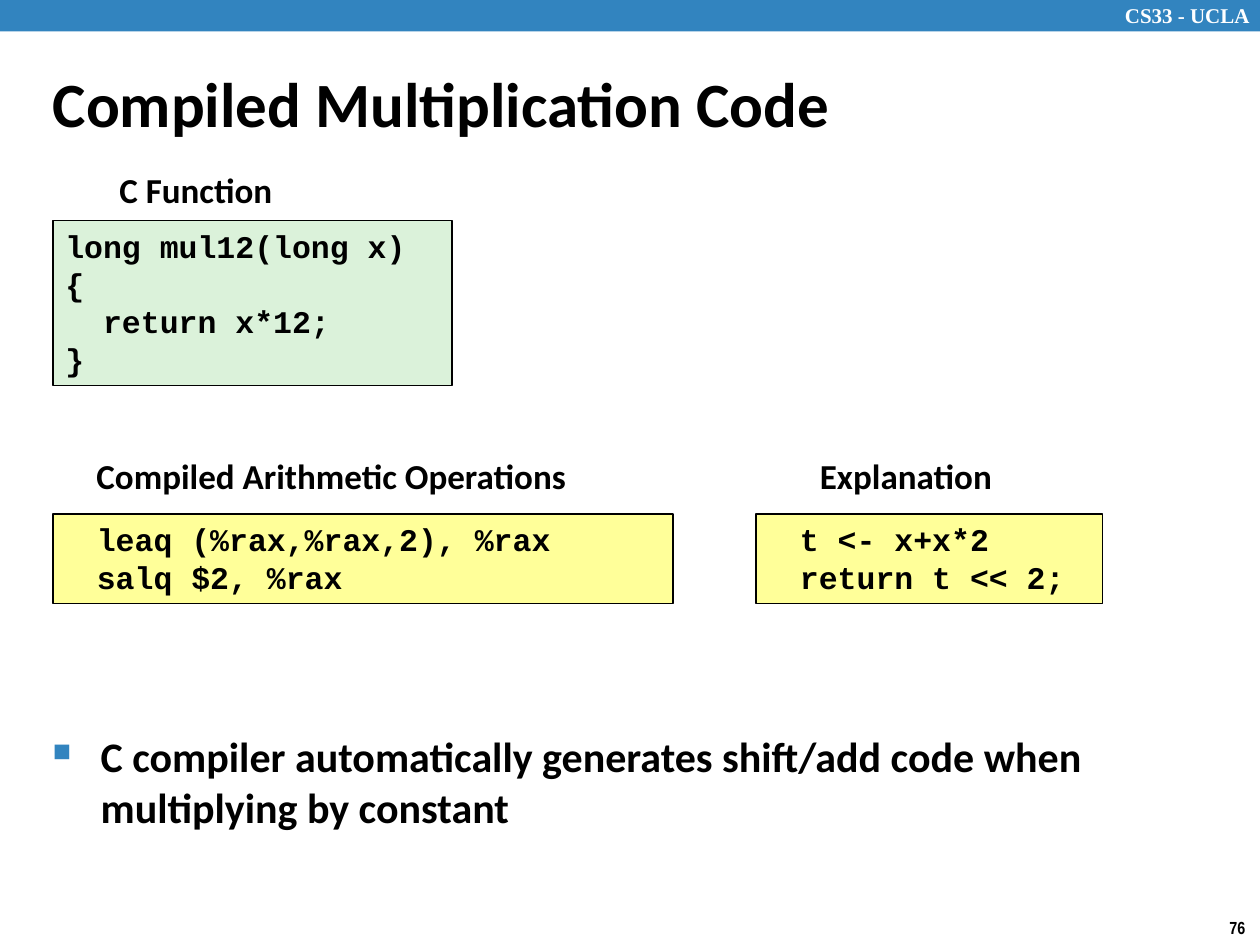
import pptx
import pptx.dml.color
import pptx.enum.shapes
import pptx.enum.text
import pptx.oxml
import pptx.oxml.ns
import pptx.util

Inches = pptx.util.Inches
Pt = pptx.util.Pt
Anchor = pptx.enum.text.MSO_ANCHOR
Align = pptx.enum.text.PP_ALIGN

BLUE, GREEN, YELLOW = "3284BF", "DBF2DA", "FFFF99"
BLACK, WHITE = "000000", "FFFFFF"

TITLE = "Compiled Multiplication Code"
TAKEAWAY = "C compiler automatically generates shift/add code when multiplying by constant"
# Heading, box (left, top, width, height)
HEADINGS = [
    ("C Function", (0.89, 1.29, 1.33, 0.44)),
    ("Compiled Arithmetic Operations", (0.7, 3.56, 3.86, 0.44)),
    ("Explanation", (6.45, 3.56, 1.48, 0.44)),
]
# Code lines, box, fill, tab stops
CODE_BLOCKS = [
    (["long mul12(long x)", "{", "  return x*12;", "}"],
     (0.42, 1.75, 3.17, 1.31), GREEN, ()),
    (["\tleaq\t(%rax,%rax,2), %rax", "\tsalq\t$2, %rax"],
     (0.42, 4.08, 4.92, 0.71), YELLOW, (0.25, 1)),
    (["\tt <- x+x*2", "\treturn t << 2;"],
     (6, 4.08, 2.75, 0.71), YELLOW, (0.25,)),
]


def color(value):
    return pptx.dml.color.RGBColor.from_string(value)


def add_xml(paragraph, xml):
    namespace = pptx.oxml.ns.nsdecls("a")
    properties = paragraph._p.get_or_add_pPr()
    properties.append(pptx.oxml.parse_xml(xml.replace("NS", namespace)))


def add_tabs(paragraph, stops):
    tabs = "".join(f'<a:tab pos="{Inches(stop)}" algn="l"/>' for stop in stops)
    add_xml(paragraph, f"<a:tabLst NS>{tabs}</a:tabLst>")


def add_bullet(paragraph, indent):
    properties = paragraph._p.get_or_add_pPr()
    properties.set("marL", str(Inches(indent)))
    properties.set("indent", str(-Inches(indent)))
    add_xml(paragraph, f'<a:buClr NS><a:srgbClr val="{BLUE}"/></a:buClr>')
    add_xml(paragraph, '<a:buSzPct NS val="60000"/>')
    add_xml(paragraph, '<a:buChar NS char="■"/>')


def write(shape, lines, size=18, font="Calibri", ink=BLACK, align=Align.LEFT,
          anchor=Anchor.TOP, wrap=True, inset=None, tabs=(), bullet_indent=None):
    frame = shape.text_frame
    frame.word_wrap = wrap
    frame.vertical_anchor = anchor
    if inset is not None:
        frame.margin_left = frame.margin_right = Inches(inset)
        frame.margin_top = frame.margin_bottom = Inches(inset)
    for index, line in enumerate(lines):
        paragraph = frame.add_paragraph() if index else frame.paragraphs[0]
        paragraph.alignment = align
        if bullet_indent:
            add_bullet(paragraph, bullet_indent)
        if tabs:
            add_tabs(paragraph, tabs)
        run = paragraph.add_run()
        run.text = line
        run.font.name = font
        run.font.size = Pt(size)
        run.font.bold = True
        run.font.color.rgb = color(ink)


def add_text(slide, text, box, **text_format):
    shape = slide.shapes.add_textbox(*map(Inches, box))
    write(shape, [text], **text_format)


def add_rectangle(slide, box, fill, outline=None):
    shape = slide.shapes.add_shape(
        pptx.enum.shapes.MSO_SHAPE.RECTANGLE, *map(Inches, box))
    shape.shadow.inherit = False
    shape.fill.solid()
    shape.fill.fore_color.rgb = color(fill)
    if outline:
        shape.line.color.rgb = color(outline)
        shape.line.width = Pt(1)
    else:
        shape.line.fill.background()
    return shape


def main():
    presentation = pptx.Presentation()
    presentation.slide_width = Inches(10)
    presentation.slide_height = Inches(7.5)
    slide = presentation.slides.add_slide(presentation.slide_layouts[6])

    add_rectangle(slide, (0, 0, 10, 0.25), BLUE)
    add_text(slide, "CS33 - UCLA", (8.83, -0.03, 1.24, 0.3),
             size=12, font="Times New Roman", ink=WHITE)
    add_text(slide, "76", (9.66, 7.23, 0.34, 0.27),
             size=10, font="Arial Narrow", wrap=False)
    add_text(slide, TITLE, (0.32, 0.5, 7.84, 0.63), size=36, anchor=Anchor.MIDDLE)
    add_text(slide, TAKEAWAY, (0.32, 5.75, 9.09, 1.3), size=24, bullet_indent=0.38)

    for lines, box, fill, tabs in CODE_BLOCKS:
        block = add_rectangle(slide, box, fill, outline=BLACK)
        write(block, lines, font="Courier New", tabs=tabs)
    for heading, box in HEADINGS:
        add_text(slide, heading, box, size=20, align=Align.CENTER,
                 wrap=False, inset=0.05)

    presentation.save("out.pptx")


if __name__ == "__main__":
    main()
